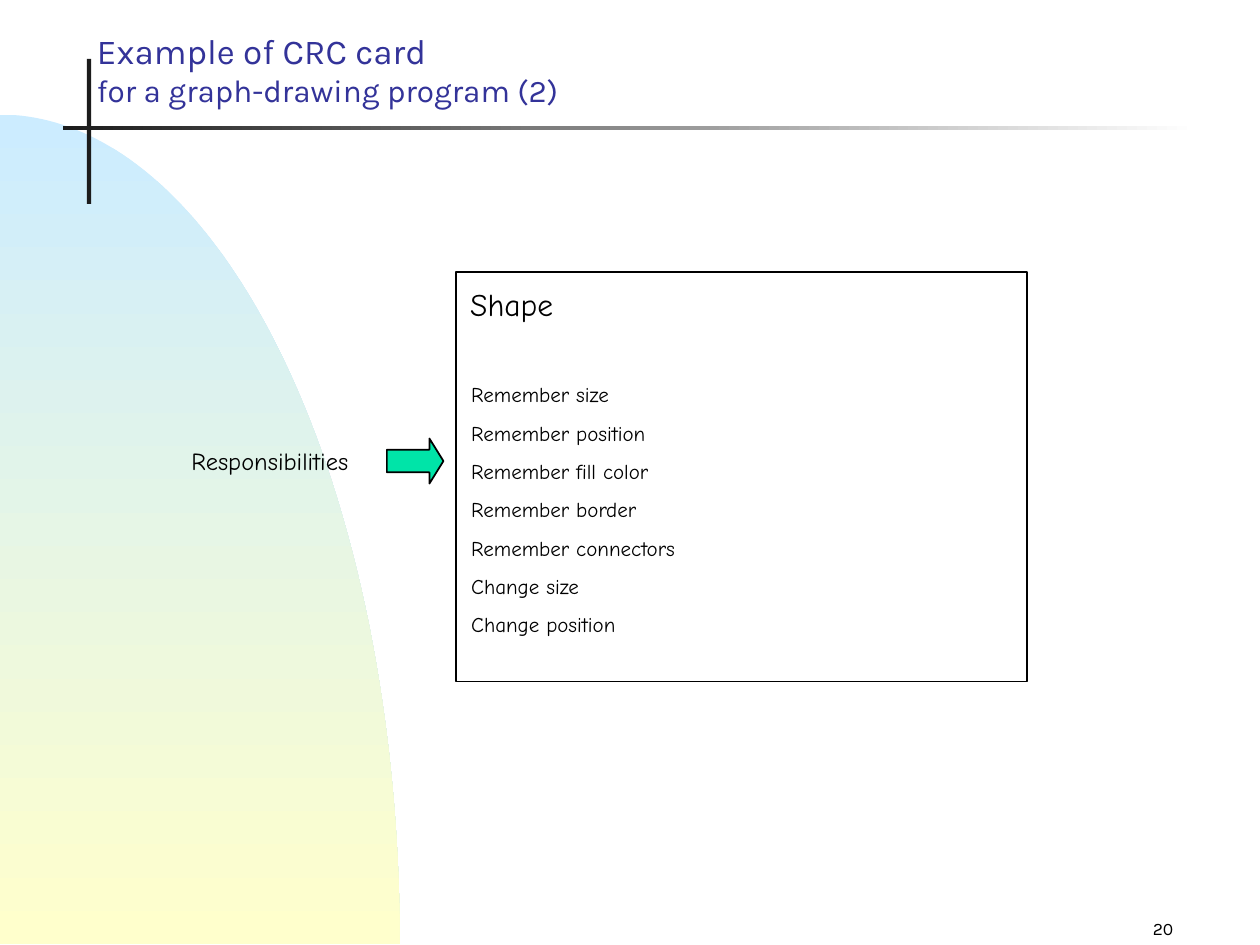
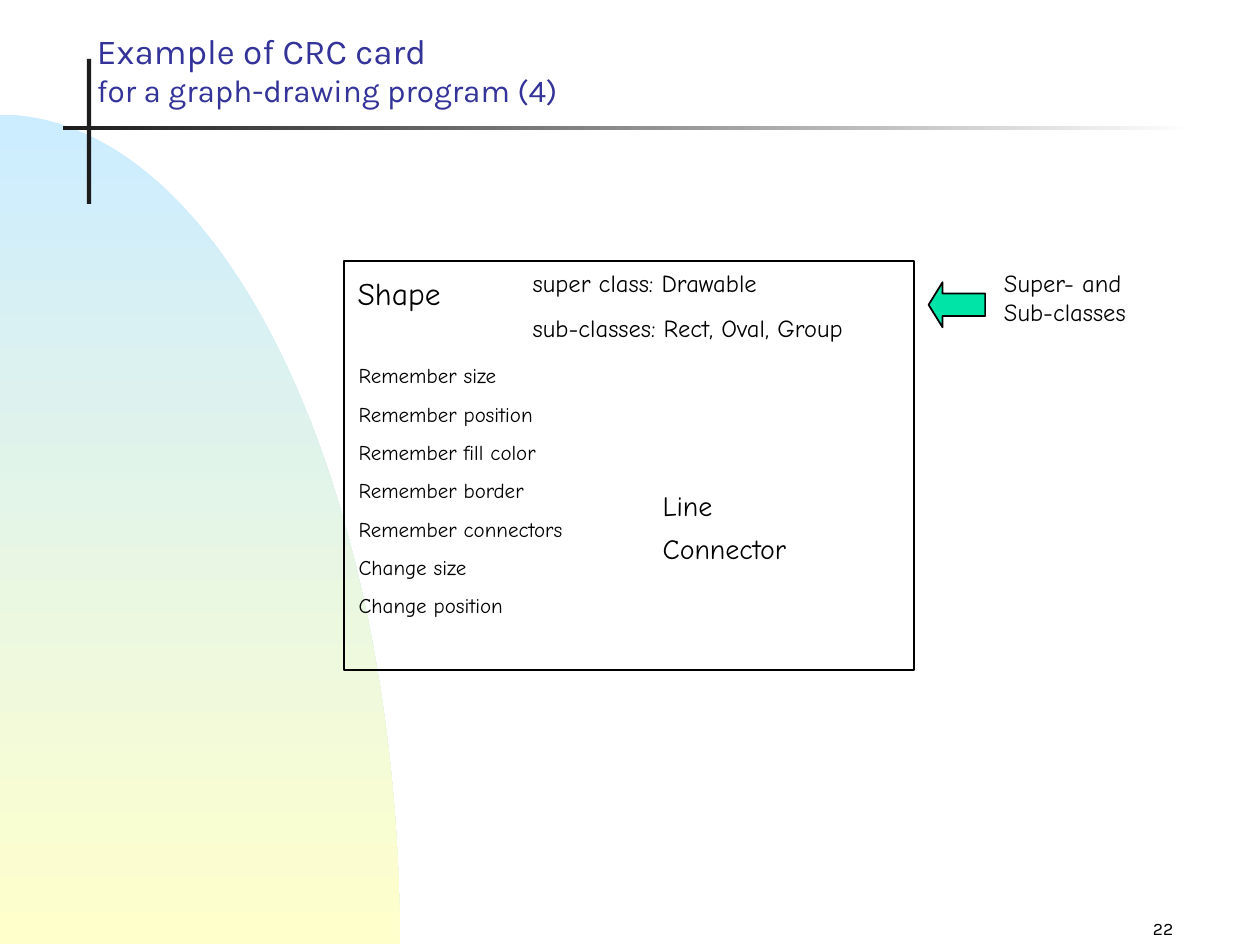
import math

import pptx
import pptx.dml.color
import pptx.enum.shapes
import pptx.enum.text
import pptx.util

Cm = pptx.util.Cm
Pt = pptx.util.Pt
SHAPES = pptx.enum.shapes.MSO_SHAPE
ANCHOR = pptx.enum.text.MSO_ANCHOR
ALIGN = pptx.enum.text.PP_ALIGN

HEADING_FONT = "Karla"
HAND_FONT = "Comic Neue"
INK, BLACK, TITLE_BLUE, ARROW_GREEN = "1C1C1C", "000000", "333399", "00E4A8"
SKY, CREAM, WHITE = "CCECFF", "FFFFCC", "FFFFFF"

TITLE = "Example of CRC card"
CLASS_NAME = "Shape"
RESPONSIBILITIES = [
    "Remember size", "Remember position", "Remember fill color",
    "Remember border", "Remember connectors", "Change size", "Change position",
]
COLLABORATORS = ["Line", "Connector"]
RELATIVES = ["super class: Drawable", "sub-classes: Rect, Oval, Group"]

CARDS = [
    {
        "subtitle": "for a graph-drawing program (2)", "number": "20",
        "corner": (9.2, 5.49), "list_drop": 2.08,
        "label": (["Responsibilities"], (3.61, 8.86, 3.68, 0.86)),
        "arrow": (SHAPES.RIGHT_ARROW, (7.8, 8.84)),
        "details": False,
    },
    {
        "subtitle": "for a graph-drawing program (4)", "number": "22",
        "corner": (6.93, 5.26), "list_drop": 1.93,
        "label": (["Super- and", "Sub-classes"], (19.99, 5.28, 3.05, 1.45)),
        "arrow": (SHAPES.LEFT_ARROW, (18.72, 5.69)),
        "details": True,
    },
]


def colour(value):
    return pptx.dml.color.RGBColor.from_string(value)


def paint_gradient(shape, first, last, angle):
    shape.fill.gradient()
    shape.fill.gradient_angle = angle
    for stop, position, value in zip(shape.fill.gradient_stops, (0, 1), (first, last)):
        stop.position = position
        stop.color.rgb = colour(value)


def add_plain_shape(page, kind, place, fill=None, line=None):
    shape = page.shapes.add_shape(kind, *map(Cm, place))
    shape.shadow.inherit = False
    if fill:
        shape.fill.solid()
        shape.fill.fore_color.rgb = colour(fill)
    else:
        shape.fill.background()
    if line:
        shape.line.color.rgb = colour(line)
        shape.line.width = Pt(1)
    else:
        shape.line.fill.background()
    return shape


def add_span(para, text, size, font, value):
    span = para.add_run()
    span.text = text
    span.font.size = Pt(size)
    span.font.name = font
    span.font.color.rgb = colour(value)


def add_text(page, place, lines, size, gap=0, wrap=False, font=HAND_FONT,
             align=ALIGN.LEFT, anchor=ANCHOR.TOP):
    frame = page.shapes.add_textbox(*map(Cm, place)).text_frame
    frame.word_wrap = wrap
    frame.vertical_anchor = anchor
    for index, line in enumerate(lines):
        para = frame.add_paragraph() if index else frame.paragraphs[0]
        para.alignment = align
        if index:
            para.space_before = Pt(gap)
        add_span(para, line, size, font, BLACK)


def add_backdrop(page):
    radius_x, radius_y, bottom, steps = 8.06, 16.72, 19.03, 90
    angles = [math.pi / 2 * step / steps for step in range(steps + 1)]
    points = [(Cm(radius_x * math.sin(angle)), Cm(bottom - radius_y * math.cos(angle)))
              for angle in angles]
    builder = page.shapes.build_freeform(*points[0])
    builder.add_line_segments(points[1:] + [(0, Cm(bottom))], close=True)
    hill = builder.convert_to_shape()
    hill.shadow.inherit = False
    hill.line.fill.background()
    paint_gradient(hill, SKY, CREAM, 270)
    add_plain_shape(page, SHAPES.RECTANGLE, (1.75, 1.19, 0.09, 2.92), INK)
    rule = add_plain_shape(page, SHAPES.RECTANGLE, (1.27, 2.54, 22.86, 0.09))
    paint_gradient(rule, INK, WHITE, 0)


def add_title(page, subtitle):
    box = page.shapes.title
    box.left, box.top, box.width, box.height = map(Cm, (1.7, 0.43, 17.98, 1.9))
    frame = box.text_frame
    frame.auto_size = pptx.enum.text.MSO_AUTO_SIZE.NONE
    frame.vertical_anchor = ANCHOR.BOTTOM
    para = frame.paragraphs[0]
    para.alignment = ALIGN.LEFT
    add_span(para, TITLE, 20, HEADING_FONT, TITLE_BLUE)
    para.add_line_break()
    add_span(para, subtitle, 18, HEADING_FONT, TITLE_BLUE)


def add_card(page, card):
    left, top = card["corner"]
    add_plain_shape(page, SHAPES.RECTANGLE, (left, top, 11.5, 8.25), line=BLACK)
    add_text(page, (left + 0.03, top + 0.13, 2.18, 1.02), [CLASS_NAME], 18)
    add_text(page, (left + 0.05, top + card["list_drop"], 5.69, 5.41),
             RESPONSIBILITIES, 12, gap=7.5, wrap=True)
    if card["details"]:
        add_text(page, (left + 3.56, top + 0.02, 6.78, 1.75), RELATIVES, 14, gap=8.8)
        for index, name in enumerate(COLLABORATORS):
            add_text(page, (left + 6.18, top + 4.47 + 0.86 * index, 5.08, 0.94),
                     [name], 16, wrap=True)


def add_callout(page, card):
    lines, place = card["label"]
    add_text(page, place, lines, 14)
    kind, corner = card["arrow"]
    arrow = add_plain_shape(page, kind, (*corner, 1.14, 0.91), ARROW_GREEN, BLACK)
    arrow.adjustments[0] = 0.5
    arrow.adjustments[1] = 0.31


def main():
    deck = pptx.Presentation()
    deck.slide_width, deck.slide_height = Cm(25.4), Cm(19.05)
    for card in CARDS:
        page = deck.slides.add_slide(deck.slide_layouts[5])
        add_backdrop(page)
        add_title(page, card["subtitle"])
        add_card(page, card)
        add_callout(page, card)
        add_text(page, (18.62, 18.21, 5.28, 0.84), [card["number"]], 10, wrap=True,
                 font=HEADING_FONT, align=ALIGN.RIGHT, anchor=ANCHOR.BOTTOM)
    deck.save("out.pptx")


if __name__ == "__main__":
    main()
